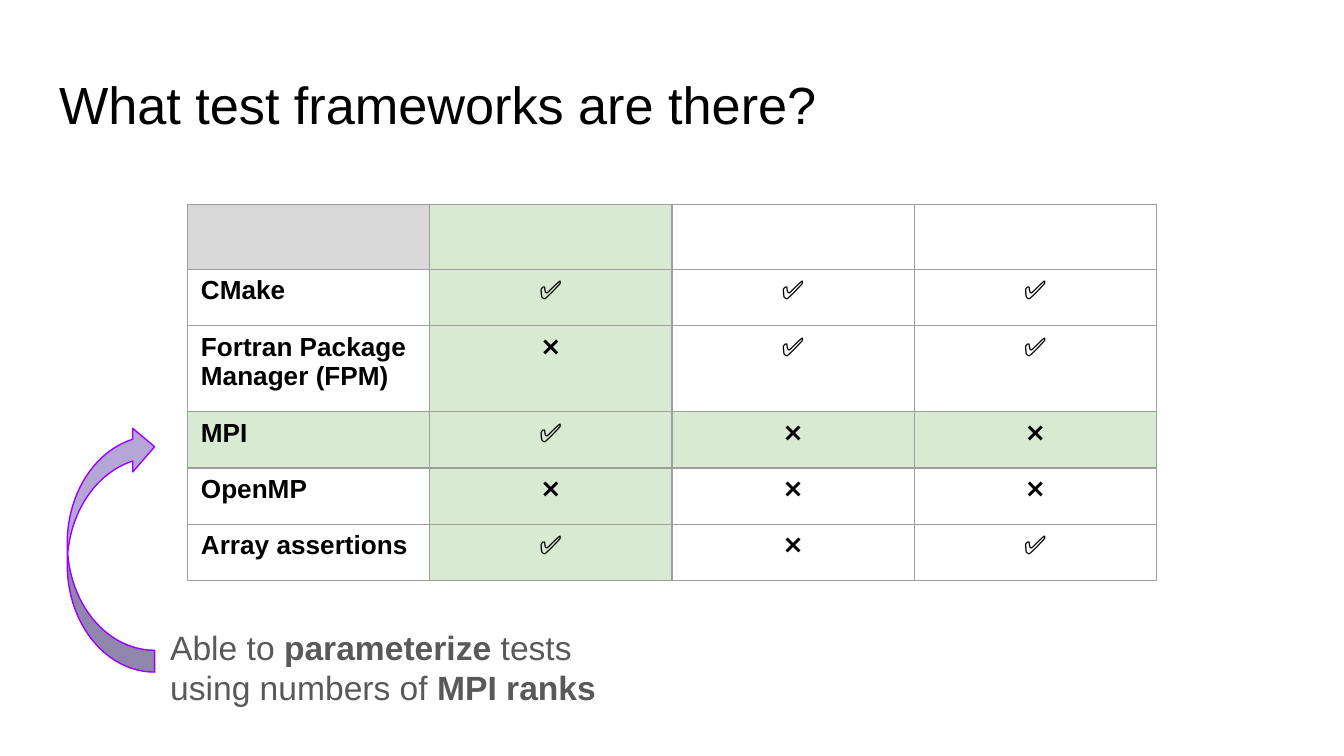
from lxml import etree
from pptx import Presentation, util as u
from pptx.dml.color import RGBColor
from pptx.enum import shapes, text
from pptx.oxml.ns import qn

WIDE = u.Inches(10)
HIGH = WIDE * 9 // 16
GREEN = "D9EAD3"
YES, NO = "✅", "❌"
ROWS = [
    ("", "", "", ""),
    ("CMake", YES, YES, YES),
    ("Fortran Package Manager (FPM)", NO, YES, YES),
    ("MPI", YES, NO, NO),
    ("OpenMP", NO, NO, NO),
    ("Array assertions", YES, NO, YES),
]
TALL = [0.48, 0.42, 0.64, 0.42, 0.42, 0.42]
HEAD = dict(name="Arial", size=u.Pt(28))
NOTE = dict(HEAD, size=u.Pt(18))
CELL = dict(HEAD, size=u.Pt(14))


def color(code):
    return RGBColor.from_string(code)


def place(*box):
    return [round(share * side / 100)
            for share, side in zip(box, (WIDE, HIGH, WIDE, HIGH))]


def paint(item, code):
    if code:
        item.fill.solid()
        item.fill.fore_color.rgb = color(code)
    else:
        item.fill.background()


def apply(item, form):
    for key, value in form.items():
        setattr(item, key, value)


def write(para, parts, form, code):
    for words, bold in parts:
        run = para.add_run()
        run.text = words
        apply(run.font, dict(form, bold=bold))
        run.font.color.rgb = color(code)


def add_text(slide, box, parts, form, code, space=1.0, anchor=text.MSO_ANCHOR.TOP):
    frame = slide.shapes.add_textbox(*place(*box)).text_frame
    edge = u.Inches(0.1)
    apply(frame, dict(word_wrap=True, vertical_anchor=anchor, margin_left=edge,
                      margin_right=edge, margin_top=edge, margin_bottom=edge))
    para = frame.paragraphs[0]
    para.line_spacing = space
    write(para, parts, form, code)


def border(cell, code, width):
    props = cell._tc.get_or_add_tcPr()
    for spot, side in enumerate(("a:lnL", "a:lnR", "a:lnT", "a:lnB")):
        line = etree.Element(qn(side), w=str(u.Pt(width)))
        fill = etree.SubElement(line, qn("a:solidFill"))
        etree.SubElement(fill, qn("a:srgbClr"), val=code)
        props.insert(spot, line)


def shade(row, col):
    if row == col == 0:
        return "D9D9D9"
    if col == 1 or ROWS[row][0] == "MPI":
        return GREEN
    return "FFFFFF" if row == len(ROWS) - 1 else None


def add_grid(slide, box):
    grid = slide.shapes.add_table(len(ROWS), len(ROWS[0]), *place(*box)).table
    grid.first_row = grid.horz_banding = False
    for row, high in enumerate(TALL):
        grid.rows[row].height = u.Inches(high)
        for col, words in enumerate(ROWS[row]):
            cell = grid.cell(row, col)
            cell.margin_left = cell.margin_right = u.Inches(0.1)
            cell.margin_top = cell.margin_bottom = u.Inches(0.05)
            paint(cell, shade(row, col))
            border(cell, "9E9E9E", 0.75)
            para = cell.text_frame.paragraphs[0]
            if col:
                para.alignment = text.PP_ALIGN.CENTER
            if words:
                write(para, [(words, col == 0)], CELL, "000000")


def add_arrow(slide, box):
    arrow = slide.shapes.add_shape(
        shapes.MSO_SHAPE.CURVED_RIGHT_ARROW, *place(*box))
    arrow.shadow.inherit = False
    arrow.rotation = 180
    arrow._element.spPr.xfrm.set("flipH", "1")
    paint(arrow, "B4A7D6")
    arrow.line.color.rgb = color("9900FF")
    arrow.line.width = u.Pt(0.75)


def main():
    deck = Presentation()
    apply(deck, dict(slide_width=WIDE, slide_height=HIGH))
    slide = deck.slides.add_slide(deck.slide_layouts[6])
    add_text(slide, (3.41, 8.7, 93.2, 11.13),
             [("What test frameworks are there?", False)],
             HEAD, "000000", 0.9, text.MSO_ANCHOR.MIDDLE)
    add_grid(slide, (13.95, 27.08, 72.1, 48.6))
    add_text(slide, (11.68, 81.1, 36, 14.2),
             [("Able to ", False), ("parameterize", True),
              (" tests using numbers of ", False), ("MPI ranks", True)],
             NOTE, "595959")
    add_arrow(slide, (5, 56.2, 6.5, 32.7))
    deck.save("out.pptx")


if __name__ == "__main__":
    main()
